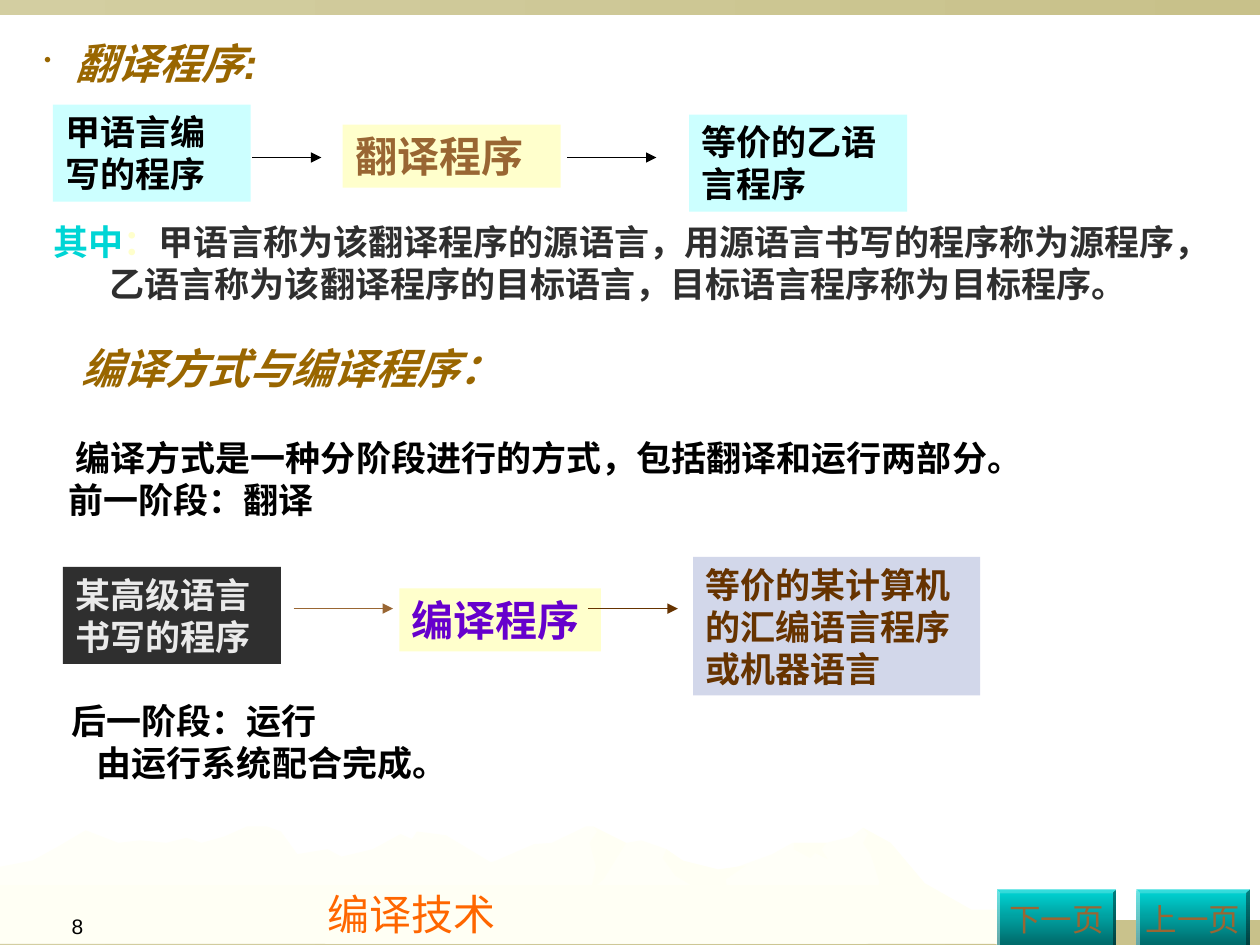
from dataclasses import dataclass

from lxml.etree import SubElement
from pptx import Presentation
from pptx.dml.color import RGBColor
from pptx.enum.shapes import MSO_CONNECTOR, MSO_SHAPE
from pptx.enum.text import MSO_ANCHOR, MSO_AUTO_SIZE, PP_ALIGN
from pptx.oxml.ns import qn
from pptx.util import Inches, Pt


@dataclass(frozen=True)
class Theme:
    font: str = "Arial"
    number: int = 12
    button: int = 18
    text: int = 20
    heading: int = 24
    black: str = "000000"
    charcoal: str = "2F2F2F"
    silver: str = "EAEAEA"
    gold: str = "996600"
    brown: str = "996633"
    dark_brown: str = "663300"
    purple: str = "6600CC"
    orange: str = "FF6600"
    teal: str = "00D5D5"
    dark_teal: str = "006363"
    cyan: str = "CCFFFF"
    cream: str = "FFFFCC"
    lavender: str = "D2D7EA"
    bar_light: str = "D3CEA1"
    bar_dark: str = "C8C18A"
    hill_light: str = "FFFFF8"
    hill: str = "FFFFF4"


THEME = Theme()

MAIN_HILLS = [
    [(802, 738), (778, 725), (764, 721), (723, 696), (702, 669), (685, 657), (676, 664),
     (656, 669), (629, 669), (613, 678), (566, 695), (536, 688), (529, 674), (509, 667),
     (486, 671), (471, 656), (465, 656), (438, 669), (424, 670), (394, 683), (355, 696),
     (327, 707), (277, 736), (258, 749), (821, 749)],
    [(690, 749), (667, 746), (432, 710), (354, 663), (331, 660), (327, 666), (318, 662),
     (296, 674), (271, 680), (260, 674), (236, 678), (223, 660), (212, 656), (196, 656),
     (178, 664), (160, 669), (148, 665), (132, 669), (111, 667), (94, 669), (68, 659),
     (46, 672), (26, 683), (0, 688), (0, 749)],
]
HILL_FOLDS = [
    [(796, 722), (771, 722), (734, 701), (707, 669), (685, 657), (689, 662), (685, 669),
     (691, 678), (698, 700), (693, 731), (720, 715), (792, 750), (858, 749), (829, 740)],
    [(471, 656), (474, 660), (468, 669), (473, 688), (465, 725), (474, 702), (479, 698),
     (490, 680), (497, 669)],
    [(529, 674), (526, 681), (536, 695), (580, 721), (576, 698), (592, 687), (570, 690),
     (542, 683)],
    [(650, 669), (630, 669), (630, 674), (643, 681), (647, 677), (657, 682), (652, 674),
     (656, 669)],
]


def color(value):
    return RGBColor.from_string(value)


def fill_gradient(shape, start, end, angle):
    shape.fill.gradient()
    shape.fill.gradient_angle = angle
    for stop, value in zip(shape.fill.gradient_stops, (start, end)):
        stop.color.rgb = color(value)


def fill_solid(shape, value):
    shape.fill.solid()
    shape.fill.fore_color.rgb = color(value)


def add_plain_shape(page, kind, left, top, width, height):
    shape = page.shapes.add_shape(kind, Inches(left), Inches(top), Inches(width), Inches(height))
    shape.shadow.inherit = False
    shape.line.fill.background()
    return shape


def add_hill(page, points):
    builder = page.shapes.build_freeform(*points[0], scale=Inches(0.01))
    builder.add_line_segments(points[1:], close=True)
    hill = builder.convert_to_shape()
    hill.shadow.inherit = False
    hill.line.fill.background()
    return hill


def style_span(span, size, value, bold=False, italic=False):
    span.font.name = THEME.font
    span.font.size = Pt(size)
    span.font.bold = bold
    span.font.italic = italic
    span.font.color.rgb = color(value)


def style_para(para, size, value, bold=False, italic=False, align=PP_ALIGN.LEFT, before=0):
    para.alignment = align
    para.space_before = Pt(before)
    for span in para.runs:
        style_span(span, size, value, bold, italic)


def indent_para(para, left, bullet=None):
    properties = para._p.get_or_add_pPr()
    properties.set("marL", str(Inches(left)))
    properties.set("indent", str(-Inches(left) if bullet else 0))
    if bullet:
        SubElement(SubElement(properties, qn("a:buClr")), qn("a:srgbClr"), val=THEME.gold)
        SubElement(properties, qn("a:buSzPct"), val="50000")
        SubElement(properties, qn("a:buChar"), char=bullet)
    else:
        SubElement(properties, qn("a:buNone"))


def place(box, left, top, width, height):
    box.left, box.top = Inches(left), Inches(top)
    box.width, box.height = Inches(width), Inches(height)
    box.text_frame.word_wrap = True
    box.text_frame.auto_size = MSO_AUTO_SIZE.NONE
    box.text_frame.vertical_anchor = MSO_ANCHOR.TOP


def add_text(page, left, top, width, height, text=""):
    box = page.shapes.add_textbox(0, 0, 0, 0)
    place(box, left, top, width, height)
    box.text_frame.text = text
    return box.text_frame


def add_footer(page, left, top, width, height, text, size, value):
    para = add_text(page, left, top, width, height, text).paragraphs[0]
    style_para(para, size, value)
    para.line_spacing = 0.8


def add_card(page, left, top, width, height, text, size, value, background):
    card = add_plain_shape(page, MSO_SHAPE.RECTANGLE, left, top, width, height)
    fill_solid(card, background)
    place(card, left, top, width, height)
    card.text_frame.text = text
    style_para(card.text_frame.paragraphs[0], size, value, bold=True)


def add_arrow(page, start, end, y, value):
    arrow = page.shapes.add_connector(
        MSO_CONNECTOR.STRAIGHT, Inches(start), Inches(y), Inches(end), Inches(y))
    arrow.line.color.rgb = color(value)
    arrow.line.width = Pt(0.75)
    SubElement(arrow.line._get_or_add_ln(), qn("a:tailEnd"), type="triangle")
    SubElement(arrow._element.spPr, qn("a:effectLst"))


def add_button(page, left, width, text):
    button = add_plain_shape(page, MSO_SHAPE.BEVEL, left, 7.06, width, 0.47)
    button.adjustments[0] = 0.06
    fill_gradient(button, THEME.teal, THEME.dark_teal, 270)
    button.text_frame.word_wrap = False
    button.text_frame.vertical_anchor = MSO_ANCHOR.MIDDLE
    button.text_frame.text = text
    style_para(button.text_frame.paragraphs[0], THEME.button, THEME.brown, align=PP_ALIGN.CENTER)


def add_background(page):
    for top, height in ((7.3, 0.2), (0, 0.12)):
        bar = add_plain_shape(page, MSO_SHAPE.RECTANGLE, 0, top, 10, height)
        fill_gradient(bar, THEME.bar_light, THEME.bar_dark, 0)
    for points in MAIN_HILLS:
        fill_gradient(add_hill(page, points), THEME.hill_light, THEME.hill, 270)
    for points in HILL_FOLDS:
        fill_solid(add_hill(page, points), THEME.hill)


def fill_title(title):
    place(title, 0.25, 0.25, 2, 0.5)
    title.text_frame.text = "翻译程序:"
    para = title.text_frame.paragraphs[0]
    indent_para(para, 0.25, "•")
    style_para(para, THEME.heading, THEME.gold, bold=True, italic=True)


def fill_body(body):
    place(body, 0.25, 2.67, 8.27, 1.52)
    body.text_frame.text = ("编译方式与编译程序：\n"
                            "编译方式是一种分阶段进行的方式，包括翻译和运行两部分。\n"
                            "前一阶段：翻译")
    heading, method, stage = body.text_frame.paragraphs
    for para, left in ((heading, 0.3), (method, 0.25), (stage, 0.19)):
        indent_para(para, left)
    style_para(heading, THEME.heading, THEME.gold, bold=True, italic=True)
    style_para(method, THEME.text, THEME.black, bold=True, before=25)
    style_para(stage, THEME.text, THEME.black, bold=True)


def add_definition(page):
    para = add_text(page, 0.27, 1.7, 9.21, 0.77).paragraphs[0]
    para.alignment = PP_ALIGN.CENTER
    for text, value in (
        ("其中", THEME.teal),
        ("：", THEME.cream),
        ("甲语言称为该翻译程序的源语言，用源语言书写的程序称为源程序， "
         "乙语言称为该翻译程序的目标语言，目标语言程序称为目标程序。", THEME.charcoal),
    ):
        span = para.add_run()
        span.text = text
        style_span(span, THEME.text, value, bold=True)


def add_run_stage(page):
    frame = add_text(page, 0.42, 5.5, 8.43, 1.1, "后一阶段：运行\n由运行系统配合完成。")
    for para, left in zip(frame.paragraphs, (0.05, 0.25)):
        indent_para(para, left)
        style_para(para, THEME.text, THEME.black, bold=True)


def main():
    deck = Presentation()
    deck.slide_width, deck.slide_height = Inches(10), Inches(7.5)
    page = deck.slides.add_slide(deck.slide_layouts[1])
    add_background(page)
    add_footer(page, 0.47, 7.24, 0.96, 0.26, "8", THEME.number, THEME.black)
    add_footer(page, 2.5, 7.08, 1.53, 0.42, "编译技术", THEME.heading, THEME.orange)
    fill_title(page.shapes.title)
    fill_body(page.placeholders[1])
    add_definition(page)
    add_run_stage(page)
    for card in (
        (0.42, 0.83, 1.57, 0.77, "甲语言编写的程序", THEME.text, THEME.black, THEME.cyan),
        (2.72, 0.99, 1.73, 0.5, "翻译程序", THEME.heading, THEME.brown, THEME.cream),
        (5.47, 0.91, 1.73, 0.77, "等价的乙语言程序", THEME.text, THEME.black, THEME.cyan),
        (0.5, 4.5, 1.73, 0.77, "某高级语言书写的程序", THEME.text, THEME.silver, THEME.charcoal),
        (3.17, 4.67, 1.6, 0.5, "编译程序", THEME.heading, THEME.purple, THEME.cream),
        (5.5, 4.42, 2.28, 1.1, "等价的某计算机的汇编语言程序或机器语言",
         THEME.text, THEME.dark_brown, THEME.lavender),
    ):
        add_card(page, *card)
    for arrow in (
        (2, 2.55, 1.25, THEME.black),
        (4.5, 5.21, 1.25, THEME.black),
        (2.33, 3.12, 4.83, THEME.brown),
        (4.67, 5.38, 4.83, THEME.dark_brown),
    ):
        add_arrow(page, *arrow)
    add_button(page, 7.91, 0.95, "下一页")
    add_button(page, 9.02, 0.9, "上一页")
    deck.save("out.pptx")


if __name__ == "__main__":
    main()
